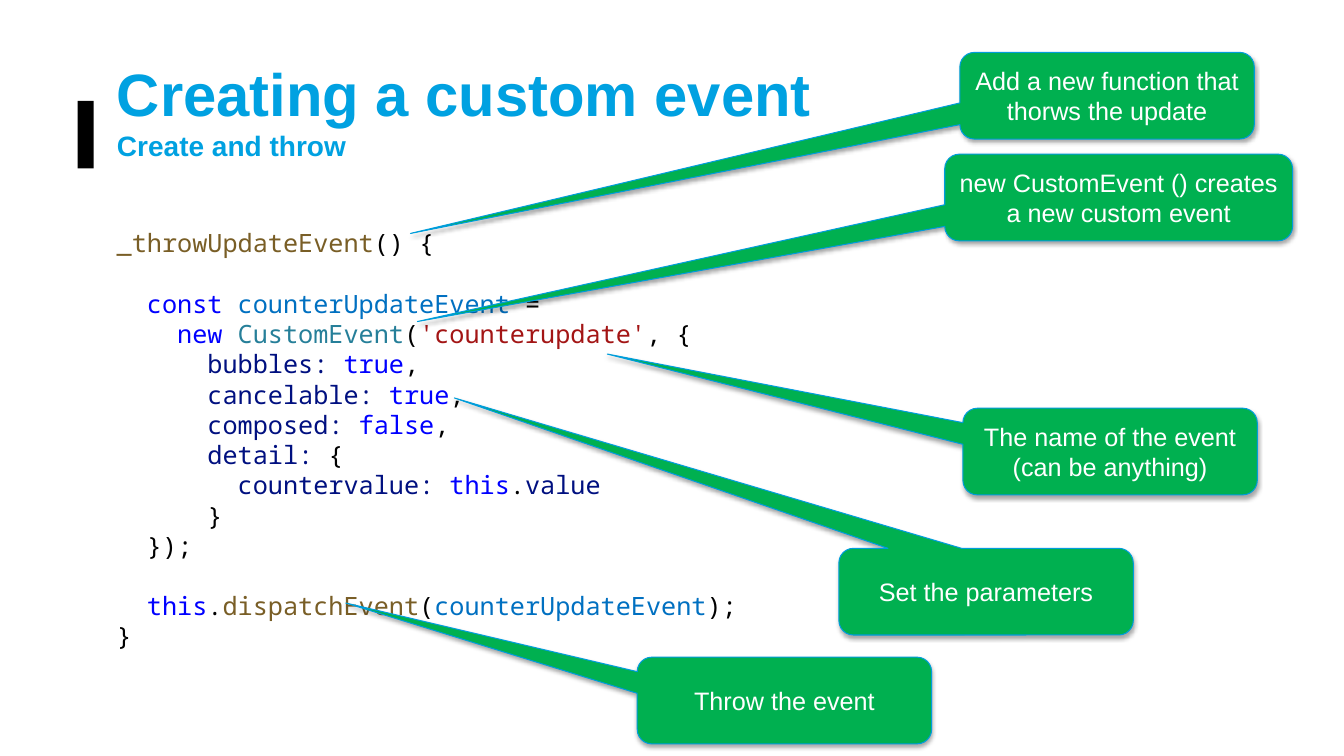
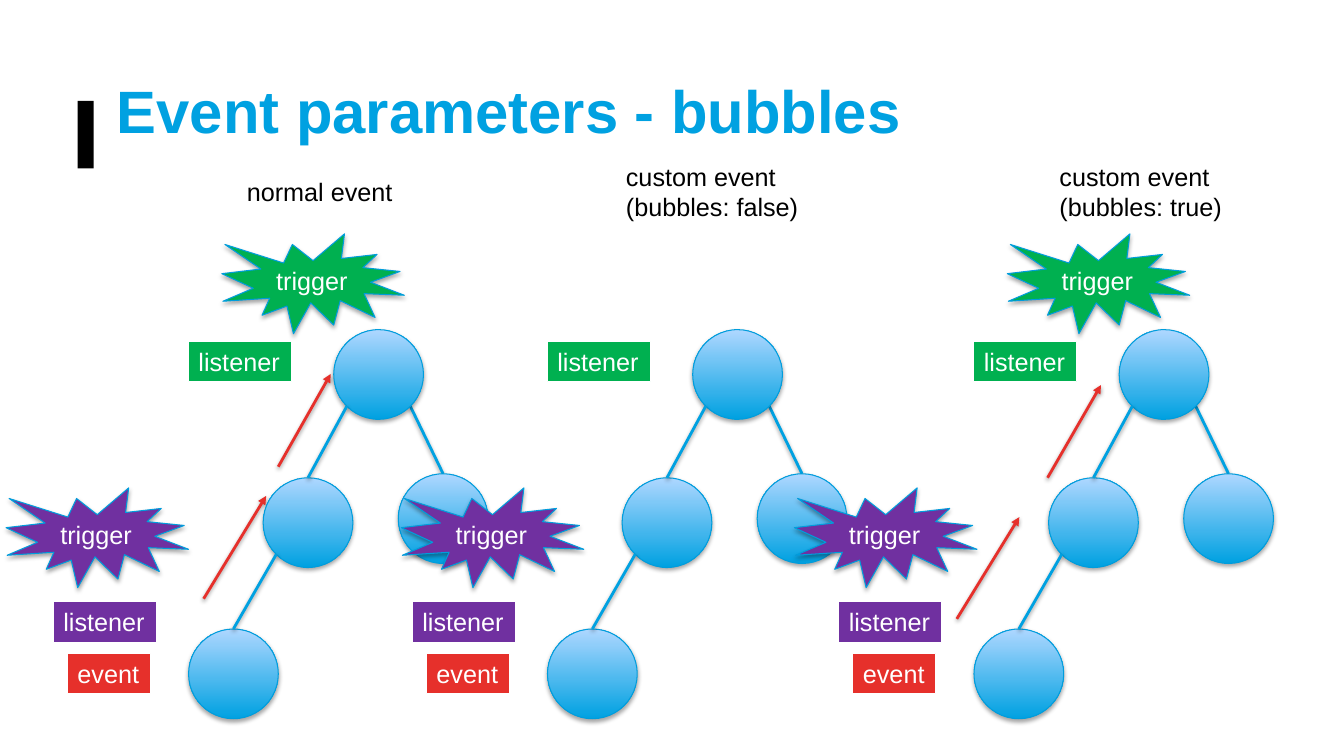
from math import sqrt

from lxml.etree import SubElement
from pptx import Presentation
from pptx.dml.color import RGBColor
from pptx.enum.shapes import MSO_CONNECTOR, MSO_SHAPE
from pptx.enum.text import MSO_ANCHOR, MSO_AUTO_SIZE, PP_ALIGN
from pptx.oxml.ns import qn
from pptx.util import Inches, Pt

WHITE = RGBColor(0xFF, 0xFF, 0xFF)
BLACK = RGBColor(0, 0, 0)
BLUE = RGBColor(0x00, 0xA1, 0xE1)
LIGHT_BLUE = RGBColor(0xAE, 0xD7, 0xFF)
OUTLINE = RGBColor(0x00, 0x9D, 0xDC)
GREEN = RGBColor(0x00, 0xB0, 0x50)
PURPLE = RGBColor(0x70, 0x30, 0xA0)
RED = RGBColor(0xE6, 0x30, 0x2B)

# Syntax colours
KEYWORD = RGBColor(0x00, 0x00, 0xFF)
METHOD = RGBColor(0x79, 0x5E, 0x26)
CONSTANT = RGBColor(0x00, 0x70, 0xC1)
CLASS = RGBColor(0x26, 0x7F, 0x99)
STRING = RGBColor(0xA3, 0x15, 0x15)
PROPERTY = RGBColor(0x00, 0x10, 0x80)

FONT = "Arial"
CODE_FONT = "Noto Sans Mono"
BODY_SIZE = 18
CODE_LINE = Pt(21.6)
CODE_INDENT = Inches(0.3)

# Each line of code: indent level, blank lines above, coloured spans
CODE = [
    (0, 0, [("_throwUpdateEvent", METHOD), ("() {", BLACK)]),
    (1, 1, [("const ", KEYWORD), ("counterUpdateEvent", CONSTANT), (" =", BLACK)]),
    (2, 0, [("new ", KEYWORD), ("CustomEvent", CLASS), ("(", BLACK),
            ("'counterupdate'", STRING), (", {", BLACK)]),
    (3, 0, [("bubbles: ", PROPERTY), ("true", KEYWORD), (",", BLACK)]),
    (3, 0, [("cancelable: ", PROPERTY), ("true", KEYWORD), (",", BLACK)]),
    (3, 0, [("composed: ", PROPERTY), ("false", KEYWORD), (",", BLACK)]),
    (3, 0, [("detail:", PROPERTY), (" {", BLACK)]),
    (4, 0, [("countervalue: ", PROPERTY), ("this", KEYWORD), (".", BLACK),
            ("value", PROPERTY)]),
    (3, 0, [("}", BLACK)]),
    (1, 0, [("});", BLACK)]),
    (1, 1, [("this", KEYWORD), (".", BLACK), ("dispatchEvent", METHOD), ("(", BLACK),
            ("counterUpdateEvent", CONSTANT), (");", BLACK)]),
    (0, 0, [("}", BLACK)]),
]

# Each callout: text, left, top, width, pointer offset
CALLOUTS = [
    ("Add a new function that thorws the update", 9.52, 0.52, 2.92, (-2.366, 1.589)),
    ("new CustomEvent () creates a new custom event", 9.37, 1.53, 3.45, (-2.016, 1.431)),
    ("The name of the event (can be anything)", 9.55, 4.05, 2.92, (-1.708, -1.125)),
    ("Set the parameters", 8.32, 5.44, 2.92, (-1.806, -2.235)),
    ("Throw the event", 6.32, 6.52, 2.92, (-1.49, -1.125)),
]

# Each tree: left edge, heading, heading place, purple trigger left,
# green trigger shown, bubbling arrows (all but the first relative to the tree)
TREES = [
    (1.87, "normal event", (0.48, 1.7, 1.66, 0.4), -1.81, True,
     [(0.15, 5.94, 0.77, 4.92), (0.89, 4.63, 1.41, 3.71)]),
    (5.43, "custom event\n(bubbles: false)", (0.68, 1.55, 1.93, 0.71), -1.45, False, []),
    (9.66, "custom event\n(bubbles: true)", (0.75, 1.55, 1.83, 0.71), -1.78, True,
     [(-0.17, 6.14, 0.45, 5.13), (0.73, 4.74, 1.26, 3.82)]),
]
NODE = 0.89
LEAF, BRANCH, ROOT, SIBLING = (0, 6.24), (0.74, 4.74), (1.44, 3.27), (2.08, 4.7)


def style_span(span, color, size=BODY_SIZE, font=FONT, bold=False):
    span.font.name = font
    span.font.size = Pt(size)
    span.font.bold = bold
    span.font.color.rgb = color


def style_text(box, text, color):
    box.text_frame.text = text
    for para in box.text_frame.paragraphs:
        for span in para.runs:
            style_span(span, color)


def add_shadow(shape, distance, opacity):
    """Give a shape a soft shadow that falls straight down."""
    effects = SubElement(shape.element.spPr, qn("a:effectLst"))
    shadow = SubElement(effects, qn("a:outerShdw"), blurRad="40000",
                        dist=str(distance), dir="5400000", rotWithShape="0")
    color = SubElement(shadow, qn("a:srgbClr"), val="000000")
    SubElement(color, qn("a:alpha"), val=str(opacity * 1000))


def add_titled_page(deck, title, width, subtitle=None):
    page = deck.slides.add_slide(deck.slide_layouts[5])
    # Black marker beside the title
    marker = page.shapes.add_shape(MSO_SHAPE.RECTANGLE, Inches(0.77), Inches(1),
                                   Inches(0.16), Inches(0.67))
    marker.shadow.inherit = False
    marker.fill.solid()
    marker.fill.fore_color.rgb = BLACK
    marker.line.fill.background()
    # Title, with the subtitle on its second line
    box = page.shapes.title
    box.left, box.top = Inches(1.06), Inches(0.36)
    box.width, box.height = Inches(width), Inches(1.45)
    frame = box.text_frame
    frame.vertical_anchor = MSO_ANCHOR.MIDDLE
    frame.auto_size = MSO_AUTO_SIZE.NONE
    para = frame.paragraphs[0]
    para.text = f"{title}\v{subtitle}" if subtitle else title
    para.alignment = PP_ALIGN.LEFT
    for span, size in zip(para.runs, (42.7, 20)):
        style_span(span, BLUE, size, bold=True)
    return page


def add_figure(page, kind, left, top, width, height, fill=None, text=""):
    """Outlined, shadowed shape; blue gradient unless a fill is given."""
    shape = page.shapes.add_shape(kind, Inches(left), Inches(top),
                                  Inches(width), Inches(height))
    if fill is None:
        shape.fill.gradient()
        shape.fill.gradient_angle = 90
        for stop, color in zip(shape.fill.gradient_stops, (BLUE, LIGHT_BLUE)):
            stop.color.rgb = color
    else:
        shape.fill.solid()
        shape.fill.fore_color.rgb = fill
    shape.line.color.rgb = OUTLINE
    shape.line.width = Pt(0.75)
    add_shadow(shape, 23000, 35)
    if text:
        style_text(shape, text, WHITE)
        shape.text_frame.vertical_anchor = MSO_ANCHOR.MIDDLE
        shape.text_frame.paragraphs[0].alignment = PP_ALIGN.CENTER
    return shape


def add_label(page, text, left, top, width, height=0.4, fill=None):
    box = page.shapes.add_textbox(Inches(left), Inches(top), Inches(width), Inches(height))
    style_text(box, text, WHITE if fill else BLACK)
    box.text_frame.word_wrap = False
    box.text_frame.auto_size = MSO_AUTO_SIZE.SHAPE_TO_FIT_TEXT
    if fill:
        box.fill.solid()
        box.fill.fore_color.rgb = fill
        box.line.color.rgb = WHITE
        box.line.width = Pt(0.75)


def add_line(page, x1, y1, x2, y2, color, arrow=False):
    line = page.shapes.add_connector(MSO_CONNECTOR.STRAIGHT, Inches(x1), Inches(y1),
                                     Inches(x2), Inches(y2))
    line.line.color.rgb = color
    line.line.width = Pt(2)
    if arrow:
        SubElement(line.element.spPr.find(qn("a:ln")), qn("a:tailEnd"), type="triangle")
    add_shadow(line, 20000, 38)


def add_code(page, left, top, width, height):
    box = page.shapes.add_textbox(Inches(left), Inches(top), Inches(width), Inches(height))
    frame = box.text_frame
    frame.word_wrap = True
    for number, (level, blanks, spans) in enumerate(CODE):
        para = frame.add_paragraph() if number else frame.paragraphs[0]
        para.line_spacing = CODE_LINE
        para.space_before = CODE_LINE * blanks
        para._p.get_or_add_pPr().set("marL", str(CODE_INDENT * level))
        for text, color in spans:
            span = para.add_run()
            span.text = text
            style_span(span, color, font=CODE_FONT)


def add_callout(page, text, left, top, width, pointer):
    callout = add_figure(page, MSO_SHAPE.ROUNDED_RECTANGULAR_CALLOUT,
                         left, top, width, 0.86, GREEN, text)
    callout.text_frame.word_wrap = True
    callout.adjustments[0], callout.adjustments[1] = pointer


def add_edge(page, left, parent, child, side):
    """Join a parent's lower left (-1) or right (1) rim to the top of its child."""
    radius = NODE / 2
    reach = radius / sqrt(2)
    add_line(page, left + child[0] + radius, child[1],
             left + parent[0] + radius + side * reach, parent[1] + radius + reach, BLUE)


def add_tree(page, left, heading, heading_box, trigger_left, green_trigger, arrows):
    x, y, width, height = heading_box
    add_label(page, heading, left + x, y, width, height)
    # Nodes and the edges between them
    add_edge(page, left, ROOT, SIBLING, 1)
    for x1, y1, x2, y2 in arrows:
        add_line(page, left + x1, y1, left + x2, y2, RED, arrow=True)
    for x, y in (LEAF, BRANCH, ROOT, SIBLING):
        add_figure(page, MSO_SHAPE.OVAL, left + x, y, NODE, NODE)
    add_edge(page, left, BRANCH, LEAF, -1)
    add_edge(page, left, ROOT, BRANCH, -1)
    # Labels
    add_label(page, "event", left - 1.2, 6.48, 0.82, fill=RED)
    add_label(page, "listener", left, 3.39, 1.02, fill=GREEN)
    add_label(page, "listener", left - 1.34, 5.97, 1.02, fill=PURPLE)
    # Triggers
    triggers = [(trigger_left, 4.84, PURPLE)]
    if green_trigger:
        triggers.append((0.33, 2.32, GREEN))
    for x, y, color in triggers:
        add_figure(page, MSO_SHAPE.EXPLOSION1, left + x, y, 1.81, 0.99, color, "trigger")


def build_code_page(deck):
    page = add_titled_page(deck, "Creating a custom event", 10.85, "Create and throw")
    add_code(page, 1.06, 2.21, 12.13, 4.64)
    for callout in CALLOUTS:
        add_callout(page, *callout)


def build_bubbles_page(deck):
    page = add_titled_page(deck, "Event parameters - bubbles", 8.06)
    for tree in TREES:
        add_tree(page, *tree)


def main():
    deck = Presentation()
    deck.slide_width, deck.slide_height = Inches(13.33), Inches(7.5)
    build_code_page(deck)
    build_bubbles_page(deck)
    deck.save("out.pptx")


if __name__ == "__main__":
    main()
